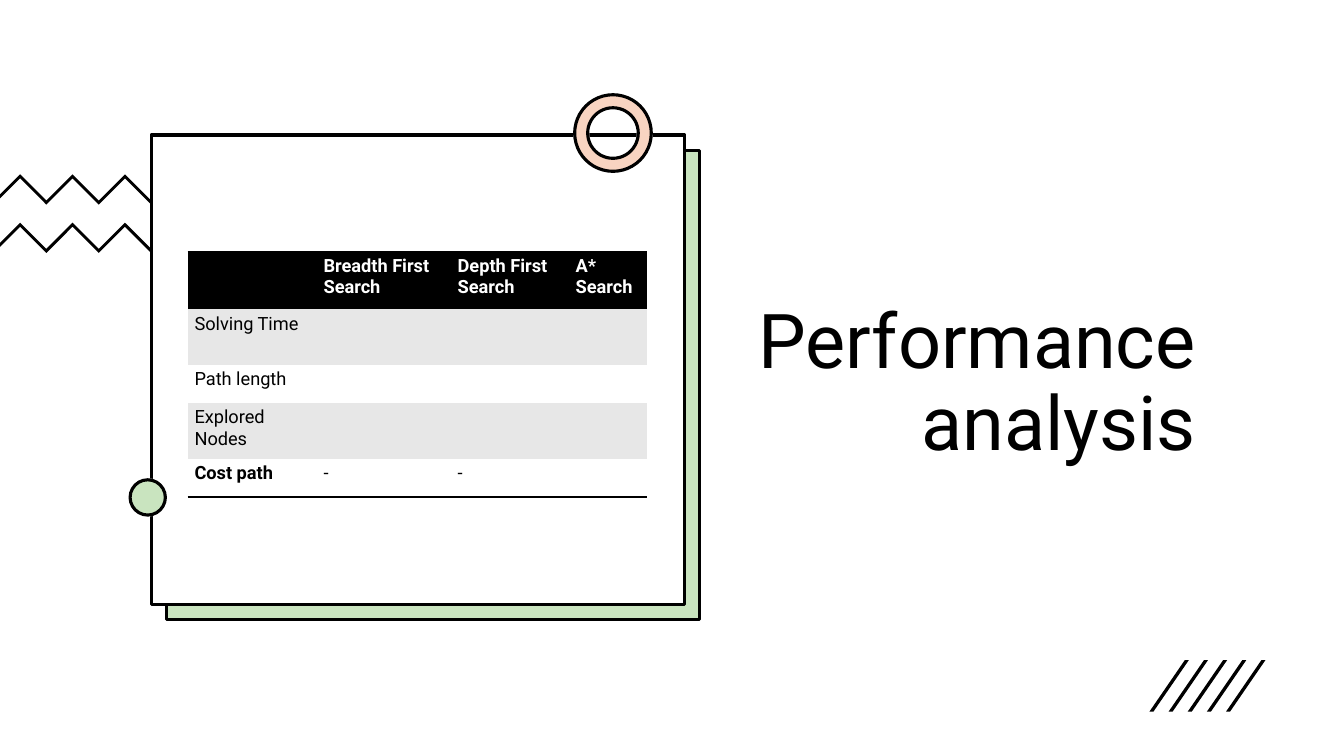
from dataclasses import dataclass
from typing import Optional

from lxml import etree
from pptx import Presentation
from pptx import util as u
from pptx.dml.color import RGBColor
from pptx.enum import shapes, text
from pptx.oxml import ns


@dataclass(frozen=True)
class Theme:
    font: str = "Roboto"
    ink: str = "000000"
    paper: str = "FFFFFF"
    band: str = "E7E7E7"
    green: str = "4EA72E"
    orange: str = "E97132"
    tint: int = 30
    title_size: float = 54
    table_size: float = 13
    outline: float = 2.25
    rule: float = 2


@dataclass(frozen=True)
class Badge:
    """A tinted, outlined shape on a white backing."""
    kind: shapes.MSO_SHAPE
    left: float
    top: float
    width: float
    height: float
    colour: str
    ring: Optional[float] = None


@dataclass(frozen=True)
class Row:
    height: float
    cells: tuple[str, ...]
    fill: str
    bold_columns: tuple[int, ...] = ()
    colour: str = "000000"
    borders: tuple[str, ...] = ()


THEME = Theme()
CARD_SIZE = (5.29, 4.66)
CARD_SHADOW = Badge(shapes.MSO_SHAPE.RECTANGLE, 1.65, 1.49, *CARD_SIZE, THEME.green)
DOT = Badge(shapes.MSO_SHAPE.OVAL, 1.29, 4.76, 0.35, 0.35, THEME.green)
RING = Badge(shapes.MSO_SHAPE.DONUT, 5.7, 0.94, 0.76, 0.76, THEME.orange, ring=0.17)
COLUMNS = (1.28, 1.33, 1.17, 0.78)
ROWS = (
    Row(0.57, ("", "Breadth First Search", "Depth First Search", "A* Search"),
        THEME.ink, (0, 1, 2, 3), THEME.paper, ("T", "B")),
    Row(0.55, ("Solving Time", "", "", ""), THEME.band),
    Row(0.33, ("Path length", "", "", ""), THEME.paper),
    Row(0.55, ("Explored Nodes", "", "", ""), THEME.band),
    Row(0.33, ("Cost path", "-", "-", ""), THEME.paper, (0,), borders=("B",)),
)


def rgb(colour: str) -> RGBColor:
    return RGBColor.from_string(colour)


def write(frame, words: str, *, size: float, colour: str = THEME.ink,
          bold: bool = False, align=text.PP_ALIGN.LEFT, spacing: float = 1.0) -> None:
    paragraph = frame.paragraphs[0]
    paragraph.alignment = align
    paragraph.line_spacing = spacing
    run = paragraph.add_run()
    run.text = words
    run.font.name = THEME.font
    run.font.size = u.Pt(size)
    run.font.bold = bold
    run.font.color.rgb = rgb(colour)


def paint(shape, fill: str, line: Optional[str] = None, opacity: int = 100) -> None:
    shape.shadow.inherit = False
    shape.fill.solid()
    shape.fill.fore_color.rgb = rgb(fill)
    if opacity < 100:
        colour = shape.fill._xPr.find(".//" + ns.qn("a:srgbClr"))
        etree.SubElement(colour, ns.qn("a:alpha"), val=str(opacity * 1000))
    if line:
        shape.line.color.rgb = rgb(line)
        shape.line.width = u.Pt(THEME.outline)
    else:
        shape.line.fill.background()


def add_badge(slide, badge: Badge) -> None:
    layers = ((THEME.paper, THEME.paper, 100), (badge.colour, THEME.ink, THEME.tint))
    for fill, line, opacity in layers:
        shape = slide.shapes.add_shape(
            badge.kind, *map(u.Inches, (badge.left, badge.top, badge.width, badge.height)))
        if badge.ring is not None:
            shape.adjustments[0] = badge.ring
        paint(shape, fill, line, opacity)


def add_outline(slide, points: list[tuple[float, float]]) -> None:
    corners = [(u.Inches(x), u.Inches(y)) for x, y in points]
    builder = slide.shapes.build_freeform(*corners[0])
    builder.add_line_segments(corners[1:], close=True)
    paint(builder.convert_to_shape(), THEME.ink)


def add_zigzag(slide, top: float) -> None:
    upper = [(0.2 + 0.26 * i, top + 0.26 * (i % 2)) for i in range(7)]
    lower = [(x, y + 0.04) for x, y in reversed(upper)]
    right_end = [(2.04, top + 0.27), (2.01, top + 0.29)]
    left_end = [(0, top + 0.24), (0, top + 0.2)]
    add_outline(slide, upper + right_end + lower + left_end)


def add_slash(slide, left: float) -> None:
    top, bottom = 6.55, 7.06
    add_outline(slide, [(left + 0.04, bottom), (left, bottom),
                        (left + 0.35, top), (left + 0.39, top)])


def set_borders(cell, sides: tuple[str, ...]) -> None:
    properties = cell._tc.get_or_add_tcPr()
    for position, side in enumerate("LRTB"):
        border = etree.Element(ns.qn(f"a:ln{side}"), w=str(u.Pt(THEME.rule)))
        if side in sides:
            fill = etree.SubElement(border, ns.qn("a:solidFill"))
            etree.SubElement(fill, ns.qn("a:srgbClr"), val=THEME.ink)
        else:
            etree.SubElement(border, ns.qn("a:noFill"))
        properties.insert(position, border)


def add_results(slide) -> None:
    height = sum(row.height for row in ROWS)
    table = slide.shapes.add_table(
        len(ROWS), len(COLUMNS),
        *map(u.Inches, (1.86, 2.5, sum(COLUMNS), height))).table
    table.first_row = table.horz_banding = False
    for column, width in zip(table.columns, COLUMNS):
        column.width = u.Inches(width)
    for line, row in zip(table.rows, ROWS):
        line.height = u.Inches(row.height)
        for index, (cell, words) in enumerate(zip(line.cells, row.cells)):
            cell.margin_left = cell.margin_right = u.Inches(0.07)
            cell.margin_top = cell.margin_bottom = u.Inches(0.04)
            cell.fill.solid()
            cell.fill.fore_color.rgb = rgb(row.fill)
            set_borders(cell, row.borders)
            write(cell.text_frame, words, size=THEME.table_size, colour=row.colour,
                  bold=index in row.bold_columns)


def add_title(slide) -> None:
    title = slide.shapes.add_textbox(*map(u.Inches, (7.36, 0.75, 4.6, 3.93))).text_frame
    title.word_wrap = True
    title.vertical_anchor = text.MSO_ANCHOR.BOTTOM
    write(title, "Performance analysis", size=THEME.title_size,
          align=text.PP_ALIGN.RIGHT, spacing=0.9)


def main() -> None:
    deck = Presentation()
    deck.slide_width, deck.slide_height = u.Inches(13.33), u.Inches(7.5)
    slide = deck.slides.add_slide(deck.slide_layouts[6])
    slide.background.fill.solid()
    slide.background.fill.fore_color.rgb = rgb(THEME.paper)

    add_title(slide)

    # Card with its offset shadow and the zigzags behind it
    add_badge(slide, CARD_SHADOW)
    for top in (1.73, 2.21):
        add_zigzag(slide, top)
    card = slide.shapes.add_shape(
        shapes.MSO_SHAPE.RECTANGLE, *map(u.Inches, (1.5, 1.34, *CARD_SIZE)))
    paint(card, THEME.paper, THEME.ink)

    # Ornaments on the card and in the corner
    add_badge(slide, DOT)
    add_badge(slide, RING)
    for index in range(5):
        add_slash(slide, 11.4 + 0.19 * index)

    # Comparison of the search algorithms
    add_results(slide)
    deck.save("out.pptx")


if __name__ == "__main__":
    main()
